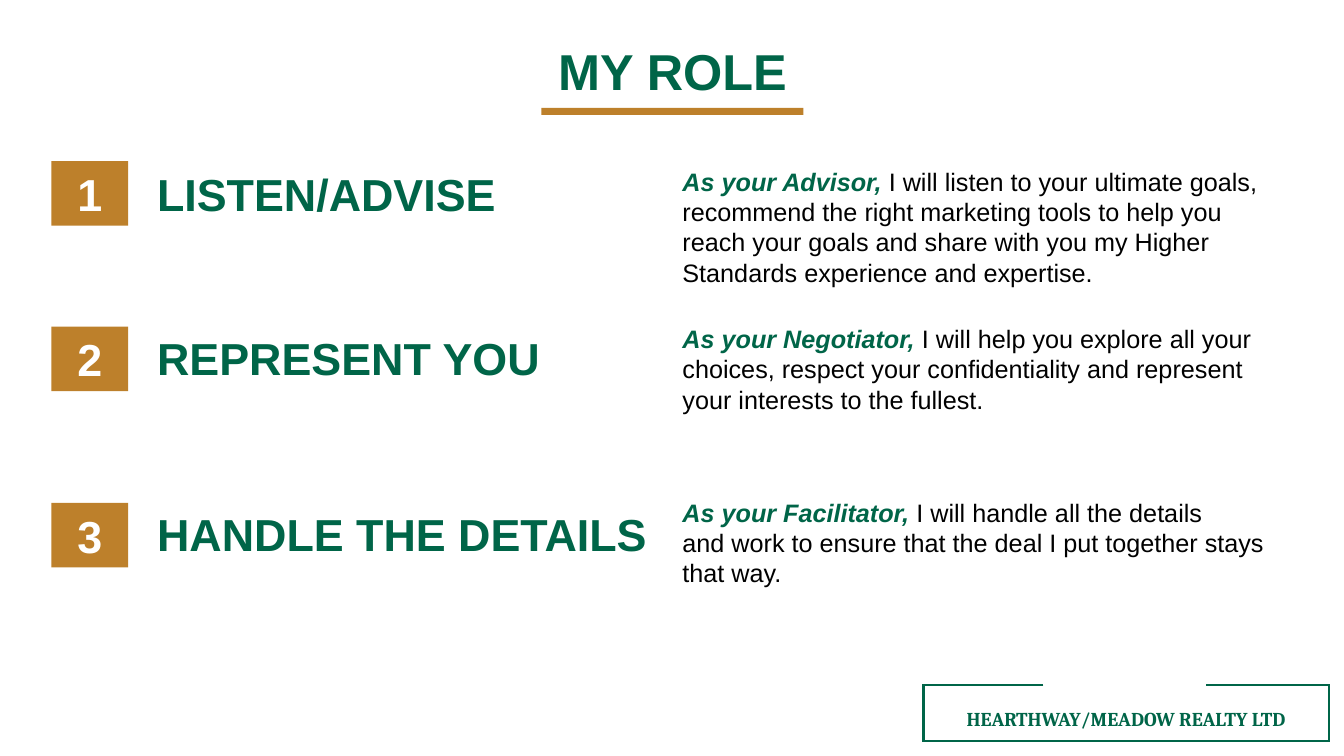
from dataclasses import dataclass

from lxml.etree import SubElement
from pptx import Presentation
from pptx.dml.color import RGBColor
from pptx.enum.shapes import MSO_SHAPE
from pptx.enum.text import MSO_ANCHOR, PP_ALIGN
from pptx.oxml.ns import qn
from pptx.util import Inches, Pt


@dataclass(frozen=True)
class Theme:
    green: RGBColor = RGBColor(0x00, 0x65, 0x48)
    gold: RGBColor = RGBColor(0xBD, 0x80, 0x2B)
    white: RGBColor = RGBColor(0xFF, 0xFF, 0xFF)
    black: RGBColor = RGBColor(0x00, 0x00, 0x00)
    font: str = "Arial"
    agency_font: str = "Cambria"
    title_size: int = 36
    heading_size: int = 32
    body_size: int = 18
    agency_size: int = 14
    frame_width: float = 1.5


THEME = Theme()
WIDTH, HEIGHT = Inches(13.33), Inches(7.5)

LEFT, RIGHT = 3.83, 96.25
HEADING_LEFT, DETAIL_LEFT = 10.95, 50.04
BADGE_WIDTH, ROW_HEIGHT = 5.7, 8.53

ROLES = [
    (21.33, 21.33, 21.33, 17.47, "LISTEN/ADVISE", "As your Advisor, ",
     "I will listen to your ultimate goals, recommend the right marketing tools "
     "to help you reach your goals and share with you my Higher Standards "
     "experience and expertise."),
    (43.2, 43.07, 42.13, 13.47, "REPRESENT YOU", "As your Negotiator, ",
     "I will help you explore all your choices, respect your confidentiality "
     "and represent your interests to the fullest."),
    (66.53, 66.27, 65.07, 13.47, "HANDLE THE DETAILS", "As your Facilitator, ",
     "I will handle all the details \n"
     "and work to ensure that the deal I put together stays that way."),
]


def across(share):
    return round(WIDTH * share / 100)


def down(share):
    return round(HEIGHT * share / 100)


def area(left, top, width, height):
    return across(left), down(top), across(width), down(height)


def style(span, size, color, bold=True, italic=False, font=THEME.font):
    span.font.name = font
    span.font.size = Pt(size)
    span.font.bold = bold
    span.font.italic = italic
    span.font.color.rgb = color


def write(shape, text, size, color, align=PP_ALIGN.LEFT,
          anchor=MSO_ANCHOR.MIDDLE, font=THEME.font):
    frame = shape.text_frame
    frame.word_wrap = True
    frame.vertical_anchor = anchor
    frame.text = text
    para = frame.paragraphs[0]
    para.alignment = align
    for span in para.runs:
        style(span, size, color, font=font)
    return para


def add_title(page, text):
    title = page.shapes.title
    title.left, title.top, title.width, title.height = area(
        LEFT, 5.6, RIGHT - LEFT, ROW_HEIGHT)
    para = write(title, text, THEME.title_size, THEME.green, PP_ALIGN.CENTER)
    para.line_spacing = 0.9
    para.space_before = Pt(0)


def add_block(page, *place):
    block = page.shapes.add_shape(MSO_SHAPE.RECTANGLE, *area(*place))
    block.shadow.inherit = False
    block.fill.solid()
    block.fill.fore_color.rgb = THEME.gold
    block.line.fill.background()
    return block


def add_badge(page, top, number):
    badge = add_block(page, LEFT, top, BADGE_WIDTH, ROW_HEIGHT)
    write(badge, str(number), THEME.heading_size, THEME.white, PP_ALIGN.CENTER)


def add_heading(page, top, text):
    box = page.shapes.add_textbox(
        *area(HEADING_LEFT, top, DETAIL_LEFT - HEADING_LEFT, ROW_HEIGHT))
    write(box, text, THEME.heading_size, THEME.green)


def add_detail(page, top, height, lead, text):
    box = page.shapes.add_textbox(
        *area(DETAIL_LEFT, top, RIGHT - DETAIL_LEFT, height))
    para = write(box, lead, THEME.body_size, THEME.green, anchor=MSO_ANCHOR.TOP)
    para.runs[0].font.italic = True
    for index, line in enumerate(text.split("\n")):
        if index:
            para.add_line_break()
        span = para.add_run()
        span.text = line
        style(span, THEME.body_size, THEME.black, bold=False)


def add_agency(page, name):
    left, right, top, bottom = 68.72, 98.87, 90.67, 98
    gap_start, gap_end = 77.64, 89.72
    corners = [(left, top), (left, bottom), (right, bottom), (right, top),
               (gap_end, top)]
    builder = page.shapes.build_freeform(across(gap_start), down(top))
    builder.add_line_segments(
        [(across(x), down(y)) for x, y in corners], close=False)
    outline = builder.convert_to_shape()
    outline.shadow.inherit = False
    outline.fill.background()
    outline.line.color.rgb = THEME.green
    outline.line.width = Pt(THEME.frame_width)
    SubElement(outline.line._get_or_add_ln(), qn("a:miter"), lim="800000")

    box = page.shapes.add_textbox(*area(left, 92.8, right - left, 4.53))
    write(box, name, THEME.agency_size, THEME.green, PP_ALIGN.CENTER,
          MSO_ANCHOR.TOP, THEME.agency_font)


def main():
    deck = Presentation()
    deck.slide_width, deck.slide_height = WIDTH, HEIGHT
    page = deck.slides.add_slide(deck.slide_layouts.get_by_name("Title Only"))

    add_agency(page, "HEARTHWAY/MEADOW REALTY LTD")
    add_block(page, 40.28, 14.27, 19.5, 0.93)
    add_title(page, "MY ROLE")
    for number, role in enumerate(ROLES, start=1):
        badge_top, heading_top, detail_top, height, heading, lead, text = role
        add_badge(page, badge_top, number)
        add_heading(page, heading_top, heading)
        add_detail(page, detail_top, height, lead, text)

    deck.save("out.pptx")


if __name__ == "__main__":
    main()
